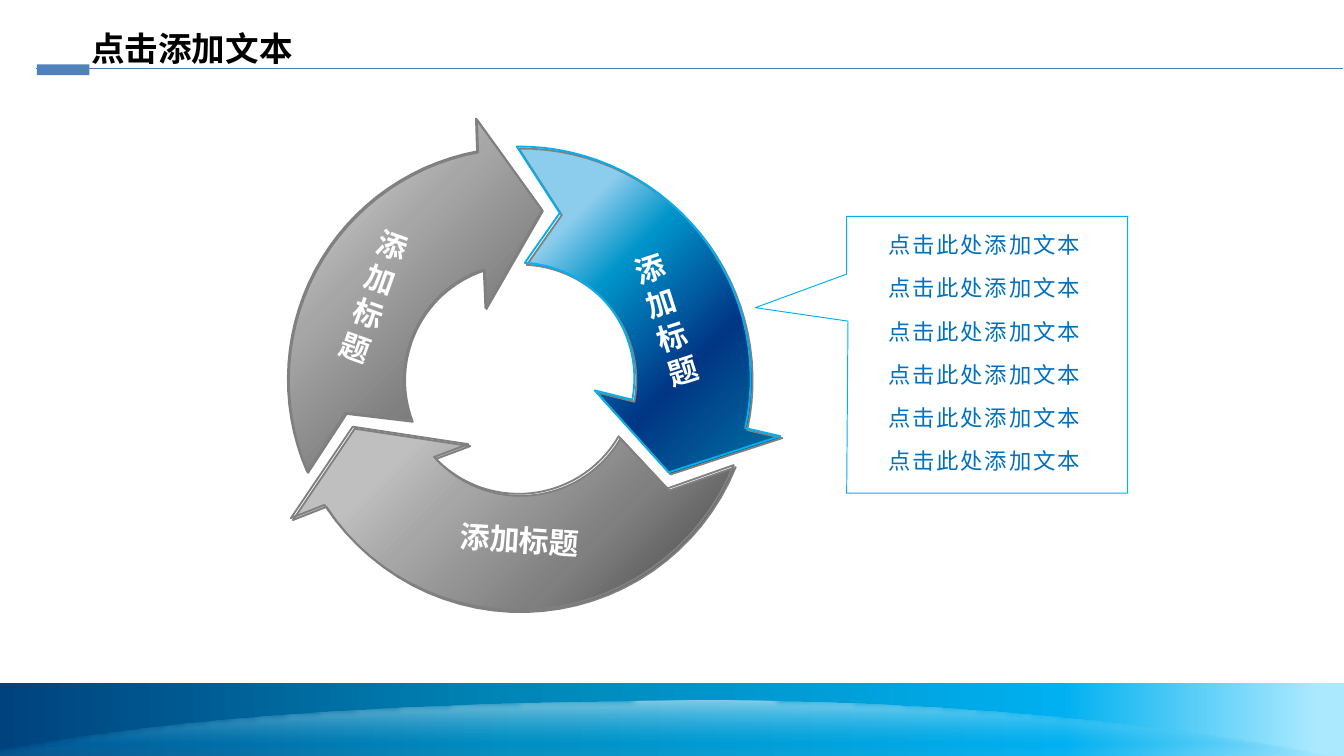
from dataclasses import dataclass
from math import cos, radians, sin
from typing import Optional

from lxml import etree
from pptx import Presentation
from pptx.dml.color import RGBColor
from pptx.enum.shapes import MSO_CONNECTOR, MSO_SHAPE
from pptx.enum.text import MSO_ANCHOR, PP_ALIGN
from pptx.oxml.ns import qn
from pptx.util import Emu, Inches, Pt

RECTANGLE = MSO_SHAPE.RECTANGLE
STRAIGHT = MSO_CONNECTOR.STRAIGHT
LEFT = PP_ALIGN.LEFT
TOP = MSO_ANCHOR.TOP

# A 16:9 slide; the grid has 100 columns over its width, with square cells
SLIDE_WIDTH = Inches(10)
SLIDE_HEIGHT = Emu(SLIDE_WIDTH * 9 // 16)
CELL = SLIDE_WIDTH / 100

Point = tuple[float, float]


@dataclass(frozen=True)
class Gradient:
    stops: tuple[tuple[int, str, int], ...]  # position, colour, opacity
    angle: Optional[int] = None  # None: radial, from the bottom right corner


@dataclass(frozen=True)
class Theme:
    font: str = "Noto Sans CJK SC"
    title_size: float = 18
    label_size: float = 16
    item_size: float = 12
    line_spacing: float = 1.2
    black: str = "000000"
    white: str = "FFFFFF"
    accent: str = "4F81BD"
    rule: str = "4B7EBC"
    bright: str = "00B0F0"
    item: str = "0070C0"
    edge: str = "808080"
    blue_fill: Gradient = Gradient(
        ((0, "0075A4", 100), (34, "013685", 100), (63, "0094CA", 100), (79, "8CCCEC", 100)))
    gray_fill: Gradient = Gradient(
        ((0, "404040", 100), (34, "808080", 100), (63, "A6A6A6", 100), (79, "BFBFBF", 100)))
    footer_fill: Gradient = Gradient(
        ((0, "00427E", 100), (39, "0087B8", 100), (79, "00B0F0", 100), (98, "ABE9FF", 100)), 0)
    glow_fill: Gradient = Gradient(
        ((0, "FFFFFF", 50), (50, "00B0F0", 20), (100, "FFFFFF", 0)), 90)


@dataclass(frozen=True)
class CycleArrow:
    outer: Point  # start and end angle of the outer arc, clockwise from east
    inner: Point  # the same for the inner arc
    notch: Point
    head: tuple[Point, Point, Point]  # inner barb, tip, outer barb
    fill: Gradient
    outline: str
    outline_shift: float


@dataclass(frozen=True)
class Label:
    text: str
    box: tuple[float, float, float, float]
    size: float
    color: str
    bold: bool = True
    rotation: float = 0
    tracking: int = 0  # hundredths of a point


THEME = Theme()
RING_CENTER = (38.75, 28.3)
OUTER_RADIUS, INNER_RADIUS = 17.25, 8.6

ARROWS = (
    CycleArrow((-90.5, 12.4), (-87, 10.7), (41.8, 16),
               ((44.4, 29.2), (49.9, 35.3), (58.2, 32.6)),
               THEME.blue_fill, THEME.bright, -0.15),
    CycleArrow((22, 146.9), (30.2, 137.1), (49.8, 36.5),
               ((35, 33.2), (26.4, 31.9), (21.8, 38.7)),
               THEME.gray_fill, THEME.edge, -0.15),
    CycleArrow((156.5, 259.4), (159, 251.9), (25.8, 30.8),
               ((36.2, 23), (40.4, 15.7), (35.5, 8.9)),
               THEME.gray_fill, THEME.edge, -0.08),
)
ARROW_LABELS = tuple(
    Label("添加标题", box, THEME.label_size, THEME.white, rotation=rotation)
    for box, rotation in (((25.2, 16.2, 4.6, 14.8), 19.7),
                          ((33.2, 38.5, 15.9, 4.7), 3.6),
                          ((48, 17.8, 4.6, 14.8), 342.1)))
ITEM_COUNT, ITEM_PITCH = 6, 3.22
ITEMS = tuple(
    Label("点击此处添加文本", (65.1, 16.7 + ITEM_PITCH * row, 20.9, 3.8),
          THEME.item_size, THEME.item, bold=False, tracking=100)
    for row in range(ITEM_COUNT))
TITLE = Label("点击添加文本", (5.8, 1.6, 17.2, 4), THEME.title_size, THEME.black)
CALLOUT = ((63, 16.1), (83.9, 16.1), (83.9, 36.7), (63, 36.7),
           (63.1, 23.9), (56.2, 22.9), (63, 20.4))


def cells(count: float) -> Emu:
    return Emu(round(count * CELL))


def apply_gradient(shape, gradient: Gradient) -> None:
    shape.fill.solid()
    properties = shape._element.spPr
    fill = etree.Element(qn("a:gradFill"), rotWithShape="1")
    stop_list = etree.SubElement(fill, qn("a:gsLst"))
    for position, color, opacity in gradient.stops:
        stop = etree.SubElement(stop_list, qn("a:gs"), pos=str(position * 1000))
        value = etree.SubElement(stop, qn("a:srgbClr"), val=color)
        if opacity < 100:
            etree.SubElement(value, qn("a:alpha"), val=str(opacity * 1000))
    if gradient.angle is None:
        radial = etree.SubElement(fill, qn("a:path"), path="circle")
        etree.SubElement(radial, qn("a:fillToRect"), l="100000", t="100000")
    else:
        etree.SubElement(fill, qn("a:lin"), ang=str(gradient.angle * 60000), scaled="0")
    properties.replace(properties.find(qn("a:solidFill")), fill)


def style_shape(shape, fill: Gradient | str | None, line: Optional[str] = None,
                width: float = 1) -> None:
    shape.shadow.inherit = False
    if isinstance(fill, Gradient):
        apply_gradient(shape, fill)
    elif fill:
        shape.fill.solid()
        shape.fill.fore_color.rgb = RGBColor.from_string(fill)
    else:
        shape.fill.background()
    if line:
        shape.line.color.rgb = RGBColor.from_string(line)
        shape.line.width = Pt(width)
    else:
        shape.line.fill.background()


def draw_outline(shapes, points, shift: float = 0):
    corners = [(cells(x + shift), cells(y + shift)) for x, y in points]
    builder = shapes.build_freeform(*corners[0], scale=1.0)
    builder.add_line_segments(corners[1:], close=True)
    return builder.convert_to_shape()


def arc(radius: float, start: float, end: float, steps: int = 30) -> list[Point]:
    angles = [radians(start + (end - start) * step / steps) for step in range(steps + 1)]
    return [(RING_CENTER[0] + radius * cos(angle), RING_CENTER[1] + radius * sin(angle))
            for angle in angles]


def bezier(a: Point, b: Point, c: Point, d: Point, steps: int = 24) -> list[Point]:
    def blend(t: float, axis: int) -> float:
        u = 1 - t
        return (u ** 3 * a[axis] + 3 * u * u * t * b[axis]
                + 3 * u * t * t * c[axis] + t ** 3 * d[axis])
    return [(blend(step / steps, 0), blend(step / steps, 1)) for step in range(steps + 1)]


def draw_arrow(shapes, arrow: CycleArrow) -> None:
    points = [arrow.notch, *arc(INNER_RADIUS, *arrow.inner), *arrow.head,
              *reversed(arc(OUTER_RADIUS, *arrow.outer))]
    style_shape(draw_outline(shapes, points), arrow.fill, THEME.edge)
    style_shape(draw_outline(shapes, points, arrow.outline_shift), None, arrow.outline)


def draw_label(shapes, label: Label) -> None:
    box = shapes.add_textbox(*map(cells, label.box))
    box.rotation = label.rotation
    frame = box.text_frame
    frame.word_wrap = True
    frame.vertical_anchor = TOP
    paragraph = frame.paragraphs[0]
    paragraph.alignment = LEFT
    paragraph.line_spacing = Pt(label.size * THEME.line_spacing)
    run = paragraph.add_run()
    run.text = label.text
    formats = {"size": Pt(label.size), "bold": label.bold, "name": THEME.font}
    for name, value in formats.items():
        setattr(run.font, name, value)
    run.font.color.rgb = RGBColor.from_string(label.color)
    properties = run._r.get_or_add_rPr()
    properties.find(qn("a:latin")).addnext(
        etree.Element(qn("a:ea"), typeface=THEME.font))
    if label.tracking:
        properties.set("spc", str(label.tracking))


def draw_frame(shapes) -> None:
    # Footer band with a soft arc of light
    footer = shapes.add_shape(RECTANGLE, *map(cells, (0, 50.8, 100, 5.45)))
    style_shape(footer, THEME.footer_fill)
    crest = (51.6, 52.1)
    glow = draw_outline(shapes, [
        *bezier((-3.3, 56.3), (5.1, 54.9), (17.3, 52.3), crest),
        *bezier(crest, (71, 52), (94.1, 54.2), (108.9, 58.6))[1:]])
    style_shape(glow, THEME.glow_fill)
    effects = glow._element.spPr.find(qn("a:effectLst"))
    etree.SubElement(effects, qn("a:softEdge"), rad="12700")
    # Title rule and its tab
    rule = shapes.add_connector(STRAIGHT, *map(cells, (2.7, 5.1, 99.9, 5.1)))
    rule.line.color.rgb = RGBColor.from_string(THEME.rule)
    rule.line.width = Pt(0.75)
    etree.SubElement(rule._element.spPr, qn("a:effectLst"))
    tab = shapes.add_shape(RECTANGLE, *map(cells, (2.75, 4.8, 3.9, 0.8)))
    style_shape(tab, THEME.accent)


def main() -> None:
    presentation = Presentation()
    presentation.slide_width, presentation.slide_height = SLIDE_WIDTH, SLIDE_HEIGHT
    slide = presentation.slides.add_slide(presentation.slide_layouts[6])
    draw_frame(slide.shapes)

    # Cycle of three arrows
    cycle = slide.shapes.add_group_shape().shapes
    for arrow in ARROWS:
        draw_arrow(cycle, arrow)
    for label in ARROW_LABELS:
        draw_label(cycle, label)

    # Callout with its list
    callout = slide.shapes.add_group_shape().shapes
    style_shape(draw_outline(callout, CALLOUT), None, THEME.bright, 0.5)
    for item in ITEMS:
        draw_label(callout, item)

    draw_label(slide.shapes, TITLE)
    presentation.save("out.pptx")


if __name__ == "__main__":
    main()
